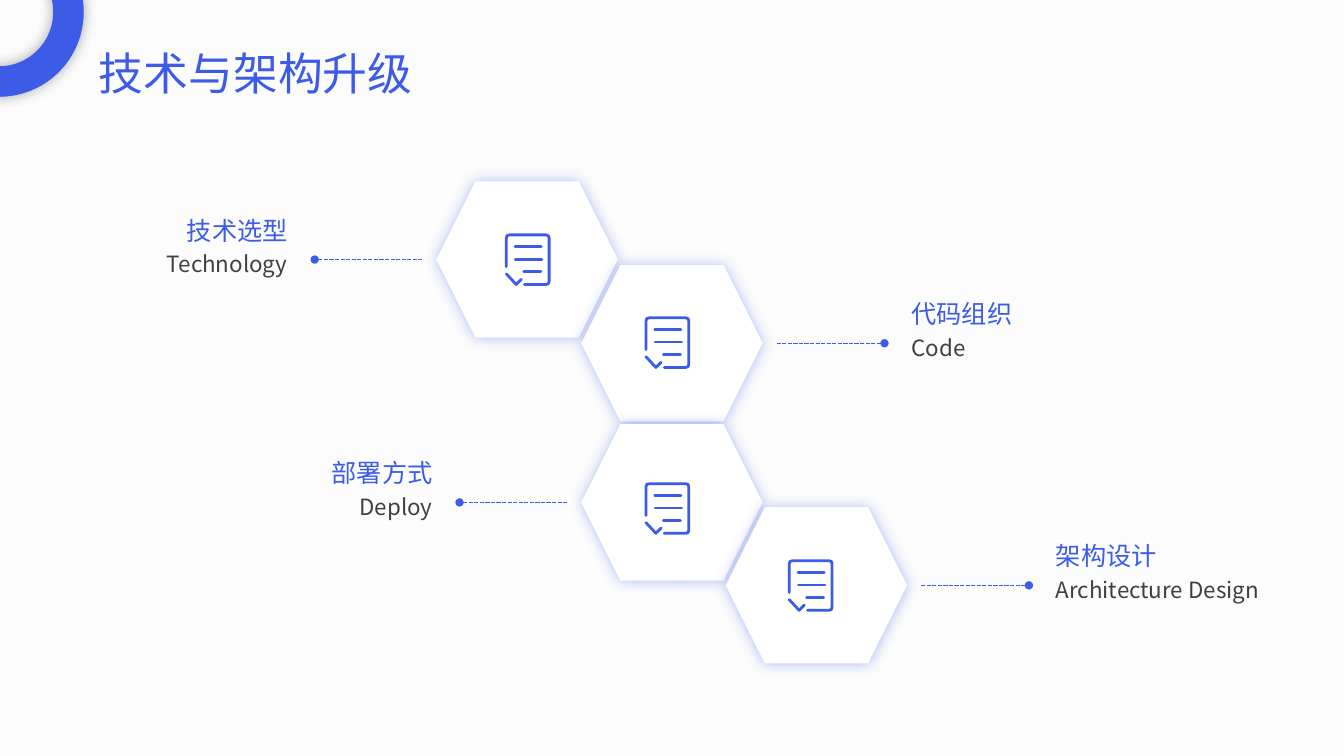
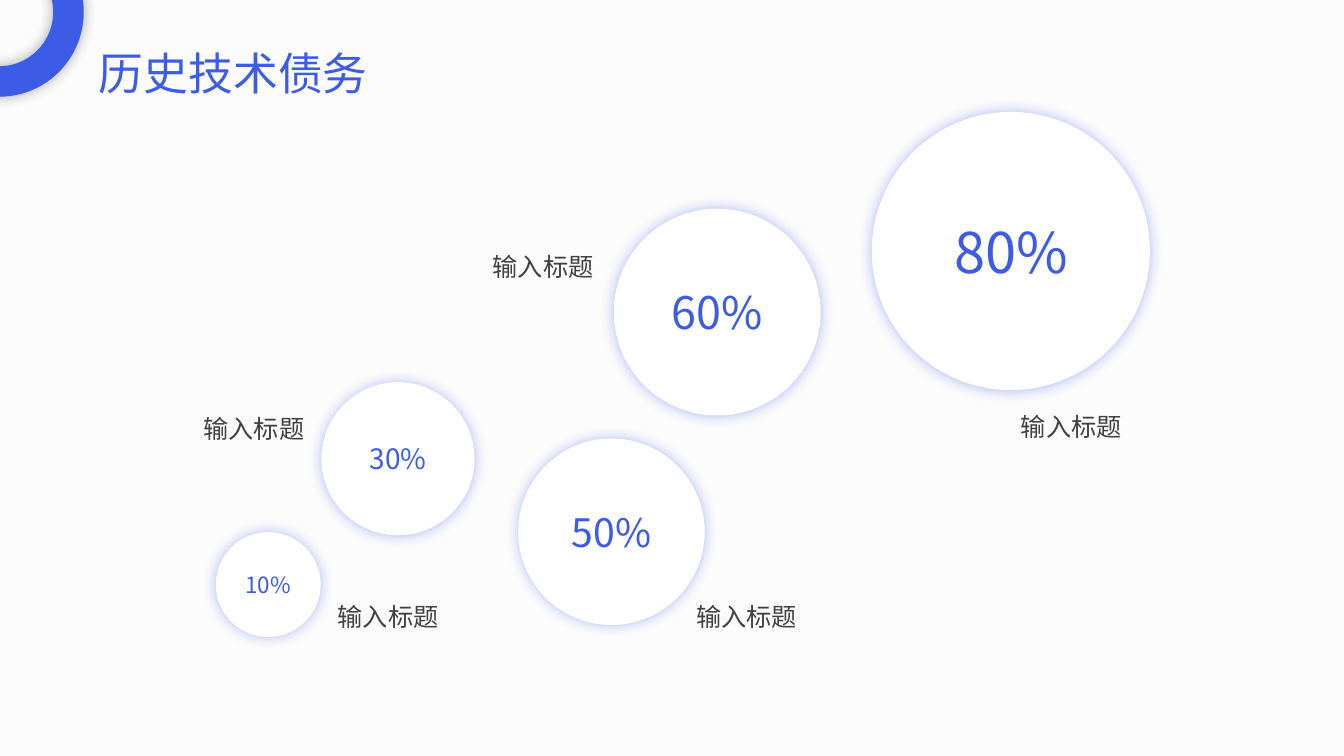
"""Build two slides: architecture upgrade hexagons and technical debt bubbles."""
from lxml import etree
from pptx import Presentation
from pptx.dml.color import RGBColor
from pptx.enum.dml import MSO_LINE
from pptx.enum.shapes import MSO_CONNECTOR, MSO_SHAPE
from pptx.enum.text import MSO_ANCHOR, MSO_AUTO_SIZE, PP_ALIGN
from pptx.oxml.ns import qn
from pptx.util import Cm, Pt

BLUE = RGBColor(0x3C, 0x5C, 0xE8)
NAVY = RGBColor(0x22, 0x2A, 0x35)
GRAY = RGBColor(0x40, 0x40, 0x40)
WHITE = RGBColor(0xFF, 0xFF, 0xFF)
BACKGROUND = RGBColor(0xFC, 0xFC, 0xFC)
FONT = "Noto Sans CJK SC"

LEFT, CENTER, RIGHT = PP_ALIGN.LEFT, PP_ALIGN.CENTER, PP_ALIGN.RIGHT
MIDDLE = MSO_ANCHOR.MIDDLE
FIT_TEXT = MSO_AUTO_SIZE.SHAPE_TO_FIT_TEXT
STRAIGHT = MSO_CONNECTOR.STRAIGHT
SHORT_DASH = MSO_LINE.SQUARE_DOT
HEXAGON, OVAL, DONUT = MSO_SHAPE.HEXAGON, MSO_SHAPE.OVAL, MSO_SHAPE.DONUT

HEXAGON_WIDTH, HEXAGON_HEIGHT = 4.57, 3.94
LEADER_GAP, LEADER_LENGTH, LABEL_GAP = 0.33, 2.74, 3.5
HEADING_WIDTH, HEADING_HEIGHT = 3.07, 1.02
CAPTION_WIDTH, CAPTION_HEIGHT = 7.09, 0.94

ICON_STROKES = [
    [(49, 128), (103, 128), (109, 126), (111, 120), (111, 11), (109, 5),
     (103, 3), (11, 3), (5, 5), (3, 11), (3, 83)],
    [(25, 32), (91, 32)],
    [(26, 64), (93, 64)],
    [(47, 95), (90, 95)],
    [(3, 101), (28, 128), (41, 115)],
]

# Each topic: heading, caption, hexagon corner, icon offset, label side.
TOPICS = [
    ("技术选型", "Technology", (11.0, 4.57), (1.73, 1.32), LEFT),
    ("代码组织", "Code", (14.65, 6.68), (1.6, 1.3), RIGHT),
    ("部署方式", "Deploy", (14.65, 10.69), (1.6, 1.47), LEFT),
    ("架构设计", "Architecture Design", (18.29, 12.78), (1.57, 1.32), RIGHT),
]

# Each bubble: value, corner, diameter, text size, label corner.
BUBBLES = [
    ("80%", (21.97, 2.82), 7.01, 40, (25.48, 10.24)),
    ("60%", (15.47, 5.26), 5.21, 32, (12.17, 6.2)),
    ("50%", (13.06, 11.05), 4.7, 28, (17.3, 15.04)),
    ("30%", (8.1, 9.63), 3.86, 20, (4.88, 10.29)),
    ("10%", (5.44, 13.41), 2.64, 16, (8.26, 15.04)),
]


def write_text(shape, text, size=18, color=GRAY, align=LEFT):
    """Fill a shape with one formatted paragraph."""
    paragraph = shape.text_frame.paragraphs[0]
    paragraph.alignment = align
    run = paragraph.add_run()
    run.text = text
    run.font.size = Pt(size)
    run.font.color.rgb = color
    run.font.name = FONT
    east_asian = etree.SubElement(run.font._element, qn("a:ea"))
    east_asian.set("typeface", FONT)


def add_text(slide, text, left, top, width, height, wrap=True, **text_format):
    """Add a text box that grows with its text."""
    box = slide.shapes.add_textbox(Cm(left), Cm(top), Cm(width), Cm(height))
    box.text_frame.word_wrap = wrap
    box.text_frame.auto_size = FIT_TEXT
    write_text(box, text, **text_format)


def add_glowing_shape(slide, preset, left, top, width, height, fill=WHITE, glow=BLUE):
    """Add a borderless shape with a soft shadow all round."""
    shape = slide.shapes.add_shape(preset, Cm(left), Cm(top), Cm(width), Cm(height))
    shape.fill.solid()
    shape.fill.fore_color.rgb = fill
    shape.line.fill.background()
    shape.shadow.inherit = False
    effects = shape._element.spPr.find(qn("a:effectLst"))
    shadow = etree.SubElement(effects, qn("a:outerShdw"), blurRad=str(Pt(10)),
                              dist="0", algn="ctr", rotWithShape="0")
    color = etree.SubElement(shadow, qn("a:srgbClr"), val=str(glow))
    etree.SubElement(color, qn("a:alpha"), val="40000")
    return shape


def add_leader(slide, dot_x, end_x, y):
    """Add a dashed line that starts with a dot."""
    connector = slide.shapes.add_connector(STRAIGHT, Cm(dot_x), Cm(y), Cm(end_x), Cm(y))
    connector.line.color.rgb = BLUE
    connector.line.width = Pt(1)
    connector.line.dash_style = SHORT_DASH
    etree.SubElement(connector.line._get_or_add_ln(), qn("a:headEnd"), type="oval")
    etree.SubElement(connector._element.spPr, qn("a:effectLst"))


def add_checklist_icon(slide, left, top):
    """Draw a page with text lines and a tick as open strokes."""
    builder = slide.shapes.build_freeform(*ICON_STROKES[0][0], scale=Cm(0.01))
    for index, (start, *points) in enumerate(ICON_STROKES):
        if index:
            builder.move_to(*start)
        builder.add_line_segments(points, close=False)
    icon = builder.convert_to_shape(Cm(left), Cm(top))
    icon.fill.background()
    icon.line.color.rgb = BLUE
    icon.line.width = Pt(2)
    outline = icon.line._get_or_add_ln()
    outline.set("cap", "rnd")
    etree.SubElement(outline, qn("a:round"))
    icon.shadow.inherit = False


def add_topic(slide, heading, caption, corner, icon_offset, side):
    """Add a hexagon with icon, leader line and two-line label."""
    left, top = corner
    middle = top + HEXAGON_HEIGHT / 2
    add_glowing_shape(slide, HEXAGON, left, top, HEXAGON_WIDTH, HEXAGON_HEIGHT)
    add_checklist_icon(slide, left + icon_offset[0], top + icon_offset[1])
    direction = -1 if side == LEFT else 1
    edge = left if side == LEFT else left + HEXAGON_WIDTH
    leader_end = edge + direction * LEADER_GAP
    add_leader(slide, leader_end + direction * LEADER_LENGTH, leader_end, middle)
    label_edge = edge + direction * LABEL_GAP
    share = 1 if side == LEFT else 0
    align = RIGHT if side == LEFT else LEFT
    add_text(slide, heading, label_edge - share * HEADING_WIDTH, middle - 1.25,
             HEADING_WIDTH, HEADING_HEIGHT, wrap=False, color=BLUE, align=align)
    add_text(slide, caption, label_edge - share * CAPTION_WIDTH, middle - 0.36,
             CAPTION_WIDTH, CAPTION_HEIGHT, size=16, align=align)


def add_bubble(slide, value, corner, diameter, size, label_corner):
    """Add a circle with its percentage and a label beside it."""
    circle = add_glowing_shape(slide, OVAL, *corner, diameter, diameter)
    frame = circle.text_frame
    frame.margin_left = frame.margin_right = frame.margin_top = frame.margin_bottom = 0
    frame.vertical_anchor = MIDDLE
    write_text(circle, value, size=size, color=BLUE, align=CENTER)
    add_text(slide, "输入标题", *label_corner, HEADING_WIDTH, HEADING_HEIGHT, wrap=False)


def add_slide(presentation, title, add_item, items):
    """Add a slide with its items, corner ring and title."""
    slide = presentation.slides.add_slide(presentation.slide_layouts[6])
    slide.background.fill.solid()
    slide.background.fill.fore_color.rgb = BACKGROUND
    for item in items:
        add_item(slide, *item)
    ring = add_glowing_shape(slide, DONUT, -2.16, -1.83, 4.27, 4.27, fill=BLUE, glow=NAVY)
    ring.adjustments[0] = 0.18
    add_text(slide, title, 2.24, 1.02, 11.73, 1.63, size=32, color=BLUE)


def main():
    """Build and save the presentation."""
    presentation = Presentation()
    presentation.slide_width = Cm(33.87)
    presentation.slide_height = Cm(19.05)
    add_slide(presentation, "技术与架构升级", add_topic, TOPICS)
    add_slide(presentation, "历史技术债务", add_bubble, BUBBLES)
    presentation.save("out.pptx")


if __name__ == "__main__":
    main()
